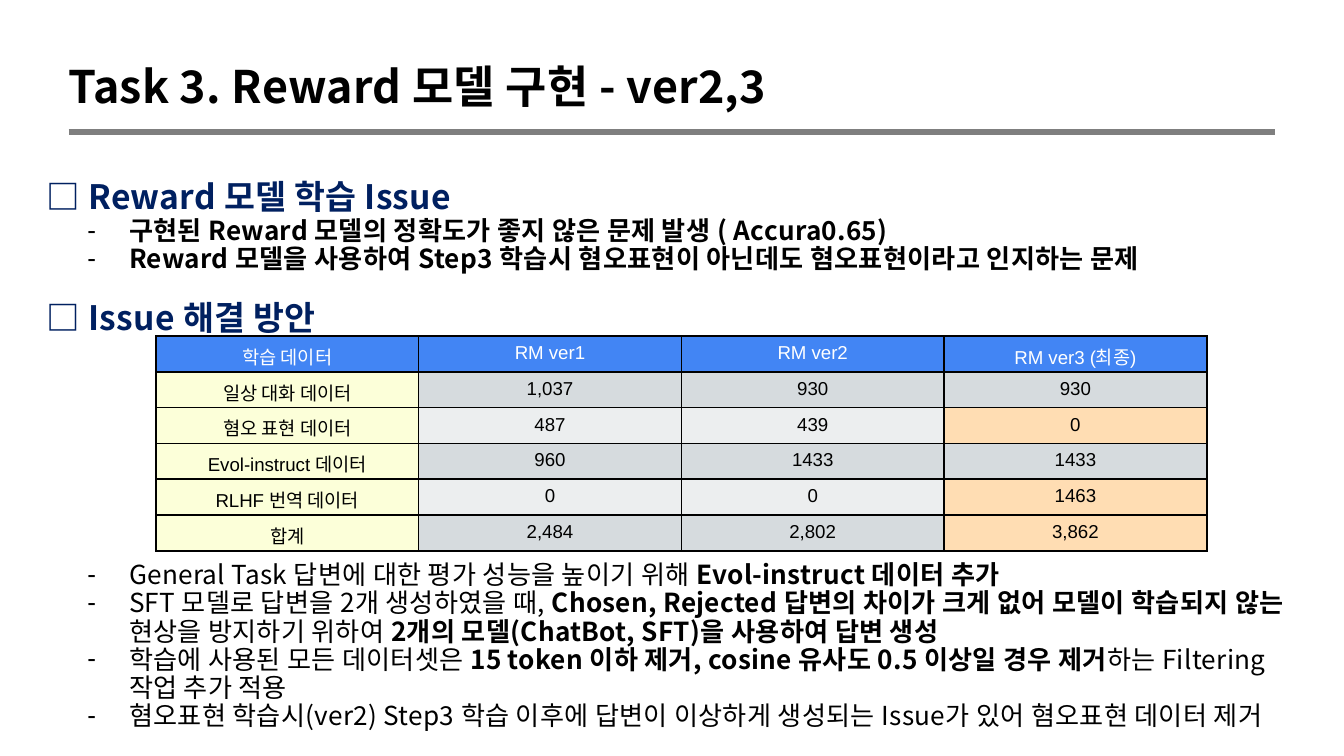
import pptx
import pptx.util
import pptx.dml.color
import pptx.enum.shapes
import pptx.enum.text
import pptx.oxml.ns
from dataclasses import dataclass
from lxml import etree
from pptx.util import Inches


@dataclass(frozen=True)
class Theme:
    font: str = "Noto Sans CJK KR"
    table_font: str = "Arial"
    title_size: float = 24
    heading_size: float = 18
    body_size: float = 14
    table_size: float = 10
    title_leading: float = 38
    heading_leading: float = 32.4
    body_leading: float = 15.1
    tracking: float = 0.15
    black: str = "000000"
    white: str = "FFFFFF"
    navy: str = "002060"
    rule: str = "7F7F7F"
    header: str = "4285F4"
    label: str = "FCFFD9"
    bands: tuple = ("D6DBDE", "ECEEEF")
    highlight: str = "FFDDB3"


def rgb(color):
    return pptx.dml.color.RGBColor.from_string(color)


def add_xml(parent, tag, **attributes):
    return etree.SubElement(parent, pptx.oxml.ns.qn(tag), **attributes)


class SlideBuilder:
    def __init__(self, slide, theme):
        self.slide = slide
        self.theme = theme

    def format_run(self, r, size, color, bold=False, font=None):
        r.font.name = font or self.theme.font
        r.font.size = pptx.util.Pt(size)
        r.font.bold = bold
        r.font.color.rgb = rgb(color)
        add_xml(r.font._element, "a:ea", typeface=self.theme.font)
        if font is None:
            r.font._element.set("spc", str(round(self.theme.tracking * 100)))

    def text_frame(self, left, top, width, height, inset_x, inset_y):
        tf = self.slide.shapes.add_textbox(
            Inches(left), Inches(top), Inches(width), Inches(height)).text_frame
        tf.word_wrap = True
        tf.margin_left = tf.margin_right = Inches(inset_x)
        tf.margin_top = tf.margin_bottom = Inches(inset_y)
        return tf

    def headings(self, box, lines, size, color, leading):
        """Bold lines, set one empty line apart."""
        tf = self.text_frame(*box, 0.1, 0.1)
        tf.text = "\n".join(lines)
        for i, p in enumerate(tf.paragraphs):
            p.line_spacing = pptx.util.Pt(leading)
            if i:
                p.space_before = pptx.util.Pt(leading)
            self.format_run(p.runs[0], size, color, bold=True)

    def bullets(self, box, items):
        """Dash list; each item is a list of (text, bold) pieces."""
        t = self.theme
        tf = self.text_frame(*box, 0.07, 0.04)
        for i, pieces in enumerate(items):
            p = tf.add_paragraph() if i else tf.paragraphs[0]
            p.line_spacing = pptx.util.Pt(t.body_leading)
            pPr = p._p.get_or_add_pPr()
            pPr.set("marL", str(Inches(0.31)))
            pPr.set("indent", str(-Inches(0.31)))
            add_xml(pPr, "a:buFont", typeface=t.table_font)
            add_xml(pPr, "a:buChar", char="-")
            for text, bold in pieces:
                r = p.add_run()
                r.text = text
                self.format_run(r, t.body_size, t.black, bold)

    def rule(self, left, right, top):
        line = self.slide.shapes.add_connector(
            pptx.enum.shapes.MSO_CONNECTOR.STRAIGHT,
            Inches(left), Inches(top), Inches(right), Inches(top))
        line.line.color.rgb = rgb(self.theme.rule)
        line.line.width = pptx.util.Pt(3)
        add_xml(line._element.spPr, "a:effectLst")

    def borders(self, cell):
        tcPr = cell._tc.get_or_add_tcPr()
        for side in ("a:lnL", "a:lnR", "a:lnT", "a:lnB"):
            ln = add_xml(tcPr, side, w=str(pptx.util.Pt(1)))
            add_xml(add_xml(ln, "a:solidFill"), "a:srgbClr", val=self.theme.black)

    def cell_fill(self, row, col, highlights):
        t = self.theme
        if row == 0:
            return t.header
        if col == 0:
            return t.label
        return t.highlight if (row, col) in highlights else t.bands[(row - 1) % 2]

    def table(self, left, top, width, height, rows, highlights):
        t = self.theme
        table = self.slide.shapes.add_table(
            len(rows), len(rows[0]), Inches(left), Inches(top),
            Inches(width), Inches(height)).table
        table.first_row = table.horz_banding = False
        for i, row in enumerate(rows):
            for j, text in enumerate(row):
                cell = table.cell(i, j)
                cell.margin_top, cell.margin_bottom = Inches(0.05), Inches(0.01)
                self.borders(cell)
                cell.fill.solid()
                cell.fill.fore_color.rgb = rgb(self.cell_fill(i, j, highlights))
                cell.text_frame.text = text
                p = cell.text_frame.paragraphs[0]
                p.alignment = pptx.enum.text.PP_ALIGN.CENTER
                self.format_run(p.runs[0], t.table_size,
                                t.black if i else t.white, font=t.table_font)


ISSUES = [
    [("구현된 Reward 모델의 정확도가 좋지 않은 문제 발생 ( Accura0.65)", True)],
    [("Reward 모델을 사용하여 Step3 학습시 혐오표현이 아닌데도 "
      "혐오표현이라고 인지하는 문제", True)],
]
SOLUTIONS = [
    [("General Task 답변에 대한 평가 성능을 높이기 위해 ", False),
     ("Evol-instruct 데이터 추가", True)],
    [("SFT 모델로 답변을 2개 생성하였을 때, ", False),
     ("Chosen, Rejected 답변의 차이가 크게 없어 모델이 학습되지 않는 ", True),
     ("현상을 방지하기 위하여 ", False),
     ("2개의 모델(ChatBot, SFT)을 사용하여 답변 생성", True)],
    [("학습에 사용된 모든 데이터셋은 ", False),
     ("15 token 이하 제거, cosine 유사도 0.5 이상일 경우 제거", True),
     ("하는 Filtering 작업 추가 적용", False)],
    [("혐오표현 학습시(ver2) Step3 학습 이후에 답변이 이상하게 생성되는 "
      "Issue가 있어 혐오표현 데이터 제거", False)],
]
TRAINING_DATA = [
    ("학습 데이터", "RM ver1", "RM ver2", "RM ver3 (최종)"),
    ("일상 대화 데이터", "1,037", "930", "930"),
    ("혐오 표현 데이터", "487", "439", "0"),
    ("Evol-instruct 데이터", "960", "1433", "1433"),
    ("RLHF 번역 데이터", "0", "0", "1463"),
    ("합계", "2,484", "2,802", "3,862"),
]


def main():
    prs = pptx.Presentation()
    prs.slide_width = Inches(10)
    prs.slide_height = prs.slide_width * 9 // 16
    theme = Theme()
    s = SlideBuilder(prs.slides.add_slide(prs.slide_layouts[6]), theme)
    s.rule(0.51, 9.49, 0.98)
    s.headings((0.41, 0.21, 6.62, 0.73), ["Task 3. Reward 모델 구현 - ver2,3"],
               theme.title_size, theme.black, theme.title_leading)
    s.headings((0.25, 1.06, 9.64, 1.57),
               ["□ Reward 모델 학습 Issue", "□ Issue 해결 방안"],
               theme.heading_size, theme.navy, theme.heading_leading)
    s.bullets((0.58, 4.14, 9.22, 1.6), SOLUTIONS)
    s.table(1.16, 2.5, 7.82, 1.6, TRAINING_DATA, {(2, 3), (4, 3), (5, 3)})
    s.bullets((0.58, 1.58, 9.48, 1.09), ISSUES)
    prs.save("out.pptx")


if __name__ == "__main__":
    main()
